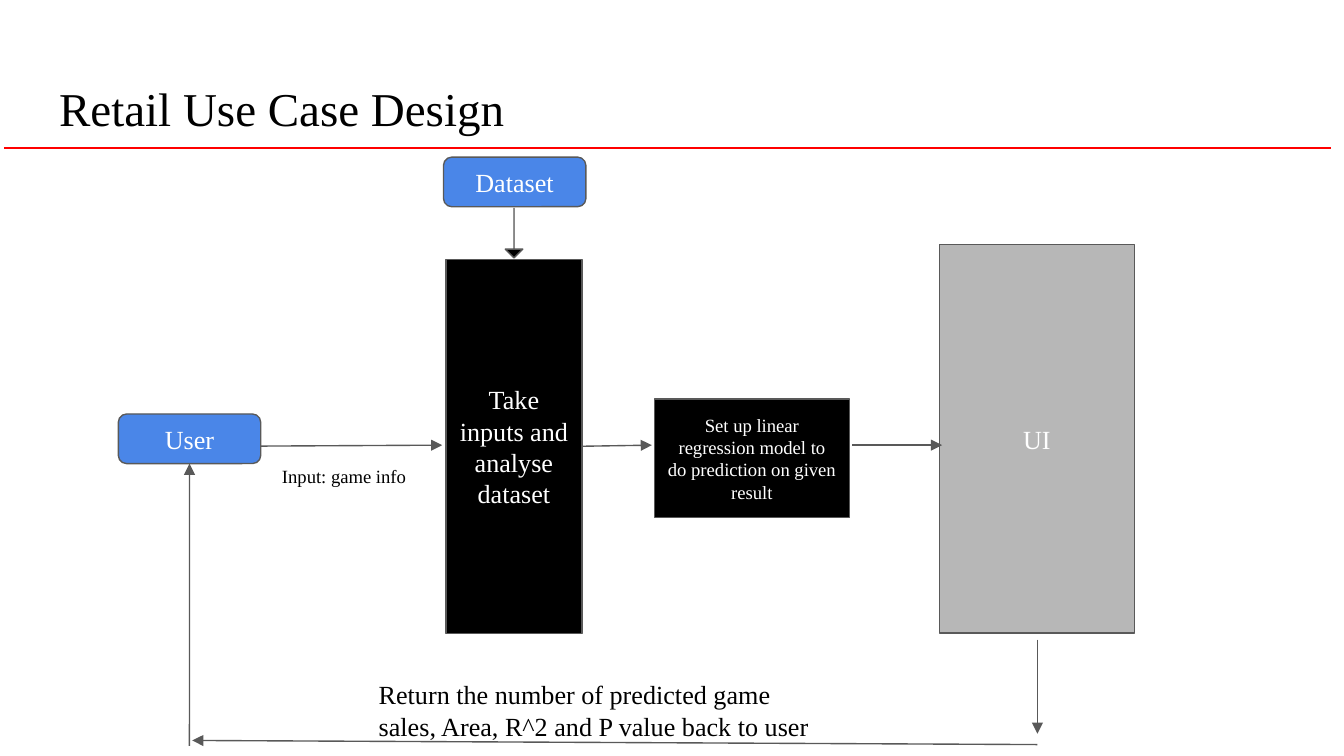
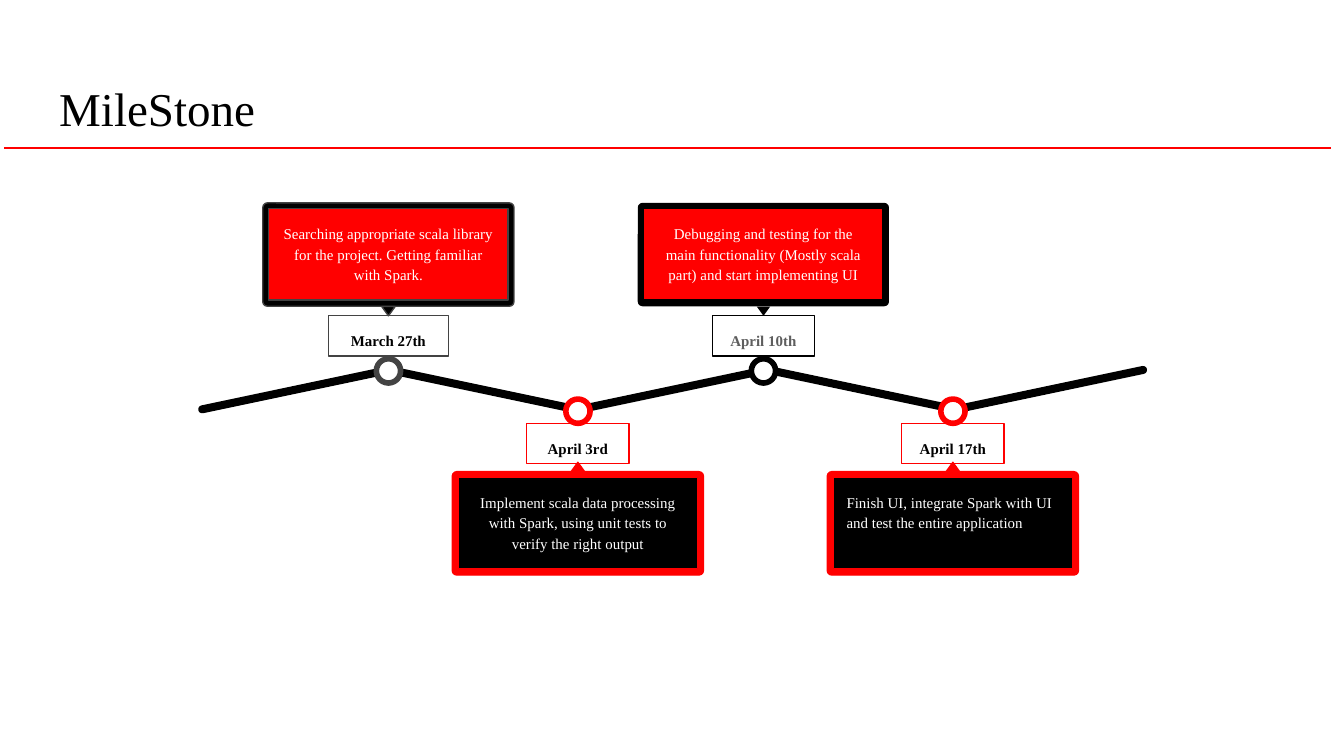
"""Builds the use case design and milestone slides."""
from lxml import etree
from pptx import Presentation
from pptx.dml.color import RGBColor
from pptx.enum.shapes import MSO_CONNECTOR, MSO_SHAPE
from pptx.enum.text import MSO_ANCHOR, MSO_AUTO_SIZE, PP_ALIGN
from pptx.oxml.ns import qn
from pptx.util import Pt

RECT, ROUND = MSO_SHAPE.RECTANGLE, MSO_SHAPE.ROUNDED_RECTANGLE
PROCESS, ARROW = MSO_SHAPE.FLOWCHART_PROCESS, MSO_SHAPE.RIGHT_ARROW
OVAL, TRIANGLE = MSO_SHAPE.OVAL, MSO_SHAPE.ISOSCELES_TRIANGLE
STRAIGHT = MSO_CONNECTOR.STRAIGHT
TOP, MIDDLE = MSO_ANCHOR.TOP, MSO_ANCHOR.MIDDLE
LEFT, CENTER = PP_ALIGN.LEFT, PP_ALIGN.CENTER
NO_FIT = MSO_AUTO_SIZE.NONE
BOTTOM_SIDE, RIGHT_SIDE = 2, 3

BLACK = RGBColor(0x00, 0x00, 0x00)
WHITE = RGBColor(0xFF, 0xFF, 0xFF)
RED = RGBColor(0xFF, 0x00, 0x00)
BLUE = RGBColor(0x4A, 0x86, 0xE8)
SILVER = RGBColor(0xB7, 0xB7, 0xB7)
GREY = RGBColor(0x59, 0x59, 0x59)
DATE_GREY = RGBColor(0x5E, 0x5E, 0x5E)
CHARCOAL = RGBColor(0x43, 0x43, 0x43)


class Deck:
    """Holds the presentation, its style and the current slide."""

    font = "Times New Roman"
    inset = Pt(7.2)

    def __init__(self):
        self.prs = Presentation()
        self.prs.slide_width, self.prs.slide_height = Pt(720), Pt(405)

    def slide(self, title):
        """Start a slide with its title and red rule."""
        s = self.prs.slides.add_slide(self.prs.slide_layouts[5])
        self.shapes = self.slide_shapes = s.shapes
        self.line((2.2, 79.2), (712.8, 79.2), RED, arrow=False)
        sp = s.shapes.title
        sp.left, sp.top, sp.width, sp.height = Pt(24.5), Pt(35.3), Pt(671), Pt(45.4)
        self.set_text(sp, title, 25.2, BLACK, align=LEFT, anchor=TOP)

    def group(self):
        """Send the following shapes to a new group."""
        self.shapes = self.slide_shapes.add_group_shape().shapes

    def set_text(self, sp, text, size, color, bold=False, align=CENTER,
                 anchor=MIDDLE, spacing=None, after=None):
        """Set and format the text of a shape."""
        tf = sp.text_frame
        tf.text = text
        tf.word_wrap, tf.auto_size, tf.vertical_anchor = True, NO_FIT, anchor
        tf.margin_left = tf.margin_right = self.inset
        tf.margin_top = tf.margin_bottom = self.inset
        p = tf.paragraphs[0]
        p.alignment, p.line_spacing = align, spacing
        if after:
            p.space_after = Pt(after)
        font = p.runs[0].font
        font.name, font.size, font.bold = self.font, Pt(size), bold
        font.color.rgb = color

    def shape(self, kind, box, fill=None, line=None, weight=0.75, rotation=0, adjust=()):
        """Add a preset shape without a shadow."""
        sp = self.shapes.add_shape(kind, *map(Pt, box))
        sp.shadow.inherit = False
        sp.rotation = rotation
        for i, value in enumerate(adjust):
            sp.adjustments[i] = value
        if fill is None:
            sp.fill.background()
        else:
            sp.fill.solid()
            sp.fill.fore_color.rgb = fill
        if line is None:
            sp.line.fill.background()
        else:
            sp.line.color.rgb, sp.line.width = line, Pt(weight)
        return sp

    def step(self, kind, box, fill, text, size=14):
        """Add a labelled step of the flow."""
        sp = self.shape(kind, box, fill, GREY)
        self.set_text(sp, text, size, WHITE)
        return sp

    def label(self, box, text, size):
        """Add a plain text box."""
        sp = self.shapes.add_textbox(*map(Pt, box))
        self.set_text(sp, text, size, BLACK, align=LEFT, anchor=TOP)

    def line(self, start, end, color=GREY, arrow=True):
        """Add a straight line, by default with an arrowhead at its end."""
        c = self.shapes.add_connector(STRAIGHT, *map(Pt, start + end))
        c.line.color.rgb, c.line.width = color, Pt(0.75)
        pr = c.element.spPr
        if arrow:
            etree.SubElement(pr.find(qn("a:ln")), qn("a:tailEnd"), type="triangle")
        etree.SubElement(pr, qn("a:effectLst"))
        return c

    def milestone(self, x, above, date, text, accent, edge, date_color=BLACK,
                  date_width=54.7, align=CENTER, after=16):
        """Add a grouped ring, date and card centred on x."""
        if above:
            ring, day, card, tip, back, face = 192.2, 169.2, 108.7, 164.2, BLACK, RED
        else:
            ring, day, card, tip, back, face = 213.8, 226.8, 252.7, 247.7, RED, BLACK
        self.group()
        sp = self.shape(RECT, (x - date_width / 2, day, date_width, 21.6), line=accent)
        self.set_text(sp, date, 8, date_color, True, anchor=TOP, spacing=1.15, after=16)
        self.shape(OVAL, (x - 6.5, ring, 13, 13), WHITE, accent, 3)
        self.shape(ROUND, (x - 67.3, card, 134.6, 55.4), back, edge, adjust=[0.045])
        self.shape(TRIANGLE, (x - 3.6, tip, 7.2, 5), back, edge, rotation=180 * above)
        sp = self.shape(RECT, (x - 64.1, card + 3, 128.2, 49), face, accent)
        self.set_text(sp, text, 8, WHITE, align=align, anchor=TOP, spacing=1.15, after=after)


def use_case(deck):
    """Draw the flow from user and dataset to the UI and back."""
    deck.slide("Retail Use Case Design")
    user = deck.step(ROUND, (63.4, 221.8, 76.3, 26.6), BLUE, "User")
    analyse = deck.step(PROCESS, (239, 139, 72.7, 200.2), BLACK,
                        "Take inputs and analyse dataset")
    deck.step(ROUND, (237.6, 84.2, 76.3, 26.6), BLUE, "Dataset")
    deck.label((144, 241.9, 89.3, 26.6), "Input: game info", 10)
    deck.shape(ARROW, (262.1, 120.2, 26.6, 9.4), BLACK, GREY, rotation=90, adjust=[0, 0.5])
    deck.step(RECT, (350.6, 213.8, 104.4, 63.4), BLACK,
              "Set up linear regression model to do prediction on given result", 10)
    deck.step(RECT, (503.3, 131, 104.4, 208.1), SILVER, "UI")
    deck.line((555.8, 398.9), (103, 396.7))
    deck.line((101.5, 399.6), (101.5, 248.4)).end_connect(user, BOTTOM_SIDE)
    deck.label((195.8, 356.4, 248.4, 48.2),
               "Return the number of predicted game sales, Area, R^2 and P value back to user", 14)
    deck.line((555.8, 342.7), (555.8, 393.1))
    deck.line((139.7, 239), (236.9, 238.5))
    deck.line((311.7, 238.5), (349.2, 238.5)).begin_connect(analyse, RIGHT_SIDE)
    deck.line((456.5, 238.5), (504.7, 238.5))


def milestones(deck):
    """Draw the zigzag timeline and its four milestones."""
    deck.slide("MileStone")
    for i, x in enumerate((105.1, 205.2, 307.4, 408.2, 509)):
        deck.shape(ROUND, (x, 206.6, 106.6, 4.3), BLACK,
                   rotation=11.9 if i % 2 else 348.1, adjust=[0.5])
    deck.milestone(208.1, True, "March 27th",
                   "Searching appropriate scala library for the project. "
                   "Getting familiar with Spark.", CHARCOAL, CHARCOAL, date_width=64.1)
    deck.milestone(309.6, False, "April 3rd",
                   "Implement scala data processing with Spark, using unit tests "
                   "to verify the right output", RED, RED)
    deck.milestone(409, True, "April 10th",
                   "Debugging and testing for the main functionality "
                   "(Mostly scala part) and start implementing UI",
                   BLACK, None, date_color=DATE_GREY)
    deck.milestone(510.5, False, "April 17th",
                   "Finish UI, integrate Spark with UI and test the entire application",
                   RED, RED, align=LEFT, after=None)


def main():
    """Build and save the deck."""
    deck = Deck()
    use_case(deck)
    milestones(deck)
    deck.prs.save("out.pptx")


if __name__ == "__main__":
    main()
